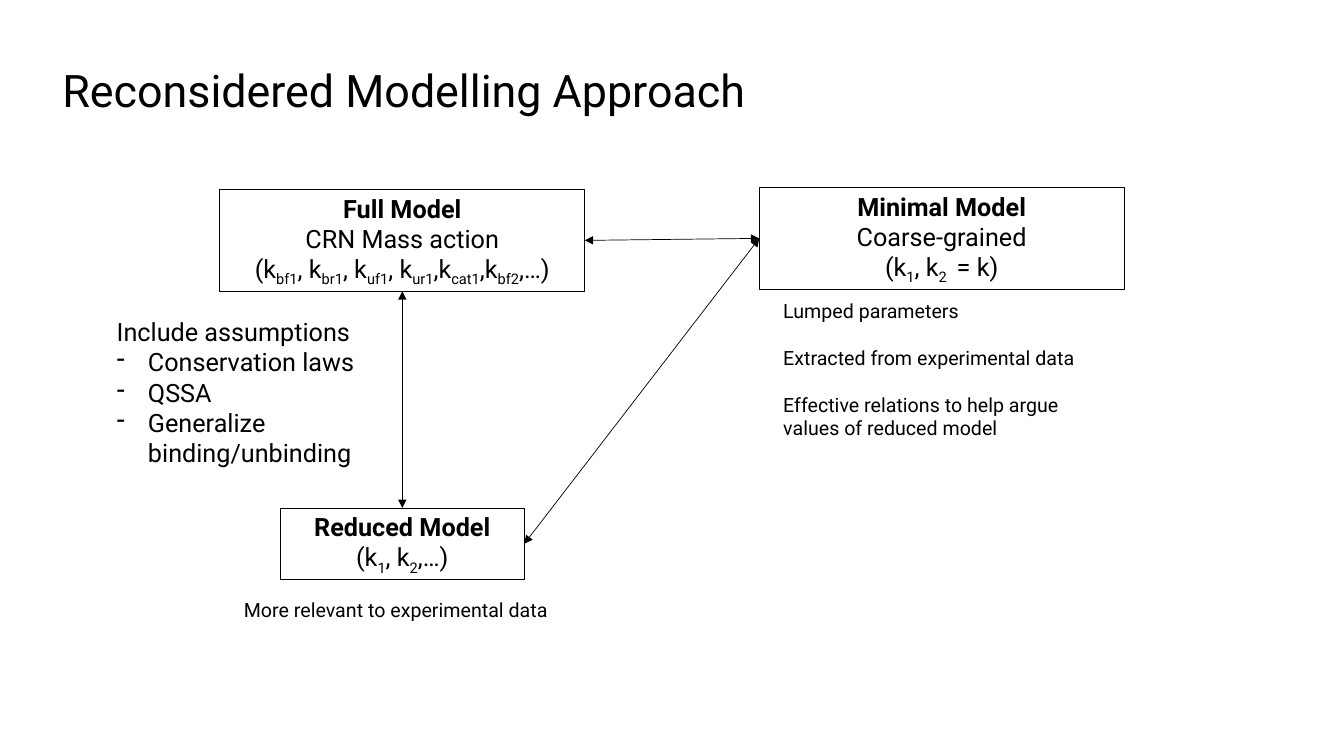
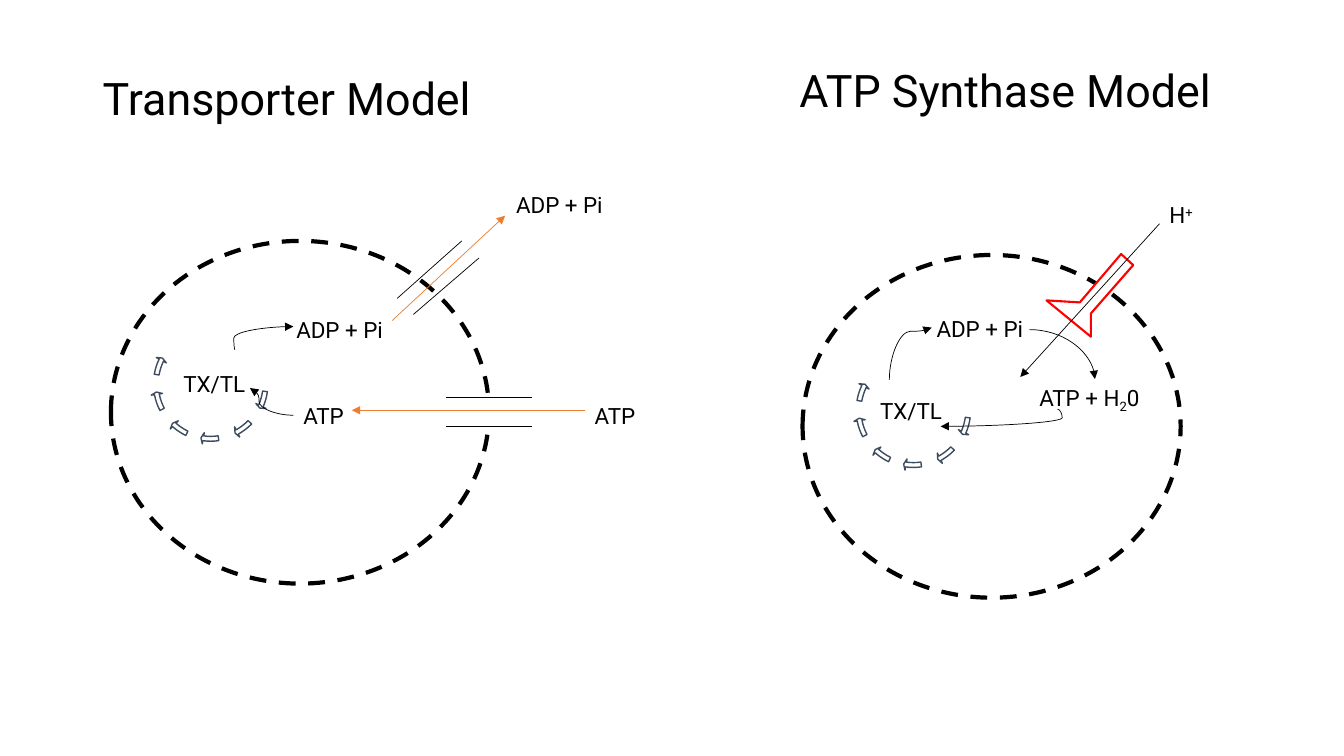
"""Build two slides on model reduction and ATP regeneration models."""
from dataclasses import dataclass

from pptx import Presentation
from pptx.dml.color import RGBColor
from pptx.enum.dml import MSO_LINE
from pptx.enum.shapes import MSO_CONNECTOR, MSO_SHAPE
from pptx.enum.text import MSO_ANCHOR, PP_ALIGN
from pptx.oxml.ns import qn
from pptx.shapes.autoshape import Shape
from pptx.shapes.connector import Connector
from pptx.slide import Slide
from pptx.text.text import TextFrame
from pptx.util import Inches, Pt
from lxml.etree import SubElement


@dataclass(frozen=True)
class Theme:
    font: str = "Roboto"
    ink: RGBColor = RGBColor(0, 0, 0)
    paper: RGBColor = RGBColor(255, 255, 255)
    accent: RGBColor = RGBColor(0xED, 0x7D, 0x31)
    ring: RGBColor = RGBColor(0x3E, 0x4C, 0x60)
    enzyme: RGBColor = RGBColor(255, 0, 0)
    title: int = 32
    body: int = 18
    label: int = 16
    note: int = 14
    thin: float = 0.5


@dataclass(frozen=True)
class Label:
    x: float
    y: float
    w: float
    h: float
    text: str
    size: int = 16
    baseline: int = -25
    gap: float = 0
    bulleted: bool = False


@dataclass(frozen=True)
class Line:
    x1: float
    y1: float
    x2: float
    y2: float
    color: RGBColor = RGBColor(0, 0, 0)
    arrow: bool = False


@dataclass(frozen=True)
class Curve(Line):
    preset: str = "curvedConnector3"
    bend: float | None = None
    turned: bool = False


THEME = Theme()
RING_ANGLES = ((205.73, 189.83), (23.66, 7.77), (61.11, 44.39),
               (97.73, 81.83), (131.66, 115.77), (169.11, 152.39))
ENZYME = ((11.12, 2.52), (10.71, 3), (10.38, 2.98), (10.82, 3.34),
          (10.82, 3.11), (11.24, 2.63))


def write(tf: TextFrame, text: str, size: int, baseline: int = -25) -> None:
    """Fill a frame; parts between bars are raised or lowered."""
    tf.word_wrap = True
    for i, row in enumerate(text.split("\n")):
        p = tf.paragraphs[0] if i == 0 else tf.add_paragraph()
        for j, part in enumerate(row.split("|")):
            r = p.add_run()
            r.text = part
            r.font.name = THEME.font
            r.font.size = Pt(size)
            r.font.color.rgb = THEME.ink
            if j % 2:
                r.font._element.set("baseline", str(baseline * 1000))


def add_label(s: Slide, label: Label) -> Shape:
    """Add a text box."""
    sp = s.shapes.add_textbox(*map(Inches, (label.x, label.y, label.w, label.h)))
    tf = sp.text_frame
    write(tf, label.text, label.size, label.baseline)
    for p in tf.paragraphs[1:]:
        if label.gap:
            p.space_before = Pt(label.gap)
        if label.bulleted:
            pPr = p._p.get_or_add_pPr()
            pPr.set("marL", str(Inches(0.31)))
            pPr.set("indent", str(-Inches(0.31)))
            SubElement(pPr, qn("a:buChar")).set("char", "-")
    return sp


def add_title(s: Slide, x: float, y: float, w: float, h: float, text: str) -> None:
    """Add a heading centred vertically in its box."""
    tf = add_label(s, Label(x, y, w, h, text, THEME.title)).text_frame
    tf.vertical_anchor = MSO_ANCHOR.MIDDLE
    tf.paragraphs[0].line_spacing = 0.9


def style(sp: Shape, fill: RGBColor | None, line: RGBColor | None, width: float = 1) -> None:
    """Set fill and outline and drop the shadow."""
    sp.shadow.inherit = False
    if fill is None:
        sp.fill.background()
    else:
        sp.fill.solid()
        sp.fill.fore_color.rgb = fill
    if line is None:
        sp.line.fill.background()
    else:
        sp.line.color.rgb = line
        sp.line.width = Pt(width)


def add_shape(s: Slide, kind: MSO_SHAPE, x: float, y: float, w: float, h: float) -> Shape:
    """Add a preset shape measured in inches."""
    return s.shapes.add_shape(kind, *map(Inches, (x, y, w, h)))


def add_model(s: Slide, x: float, y: float, w: float, h: float, text: str) -> Shape:
    """Add an outlined model box with a bold first row."""
    sp = add_shape(s, MSO_SHAPE.RECTANGLE, x, y, w, h)
    style(sp, None, THEME.ink, 0.75)
    write(sp.text_frame, text, THEME.body)
    for p in sp.text_frame.paragraphs:
        p.alignment = PP_ALIGN.CENTER
    sp.text_frame.paragraphs[0].runs[0].font.bold = True
    return sp


def style_line(c: Connector, color: RGBColor, ends: tuple[str, ...] = ()) -> None:
    """Set a connector's stroke and arrowheads."""
    c.line.color.rgb = color
    c.line.width = Pt(THEME.thin)
    for end in ends:
        SubElement(c.line._ln, qn(f"a:{end}")).set("type", "triangle")
    SubElement(c._element.spPr, qn("a:effectLst"))


def join(s: Slide, a: Shape, site_a: int, b: Shape, site_b: int) -> None:
    """Link two boxes with a double-headed arrow."""
    c = s.shapes.add_connector(MSO_CONNECTOR.STRAIGHT, 0, 0, 0, 0)
    c.begin_connect(a, site_a)
    c.end_connect(b, site_b)
    style_line(c, THEME.ink, ("headEnd", "tailEnd"))


def add_line(s: Slide, line: Line) -> None:
    """Draw a straight or curved line."""
    curved = isinstance(line, Curve)
    ends = (line.x1, line.y1, line.x2, line.y2)
    if curved and line.turned:
        cx, cy = (line.x1 + line.x2) / 2, (line.y1 + line.y2) / 2
        dx, dy = line.x1 - cx, line.y1 - cy
        ends = (cx + dy, cy - dx, cx - dy, cy + dx)
    kind = MSO_CONNECTOR.CURVE if curved else MSO_CONNECTOR.STRAIGHT
    c = s.shapes.add_connector(kind, *map(Inches, ends))
    if curved:
        spPr = c._element.spPr
        geom = spPr.find(qn("a:prstGeom"))
        geom.set("prst", line.preset)
        if line.bend is not None:
            gd = SubElement(geom.find(qn("a:avLst")), qn("a:gd"))
            gd.set("name", "adj1")
            gd.set("fmla", f"val {round(line.bend * 100000)}")
        if line.turned:
            spPr.find(qn("a:xfrm")).set("rot", str(90 * 60000))
    style_line(c, line.color, ("tailEnd",) if line.arrow else ())


def add_membrane(s: Slide, x: float, y: float) -> None:
    """Draw the dashed cell outline."""
    sp = add_shape(s, MSO_SHAPE.OVAL, x, y, 3.75, 3.4)
    style(sp, None, THEME.ink, 3)
    sp.line.dash_style = MSO_LINE.DASH


def add_ring(s: Slide, x: float, y: float) -> None:
    """Draw the cycle of six arrows."""
    for end, start in RING_ANGLES:
        sp = add_shape(s, MSO_SHAPE.CIRCULAR_ARROW, x, y, 1.2, 1.2)
        for i, value in enumerate((0.04, 2.5 * 0.6, end * 0.6, start * 0.6, 0.047)):
            sp.adjustments[i] = value
        style(sp, THEME.paper, THEME.ring)


def add_enzyme(s: Slide) -> None:
    """Draw the synthase outline across the membrane."""
    points = [(Inches(x), Inches(y)) for x, y in ENZYME]
    fb = s.shapes.build_freeform(*points[0])
    fb.add_line_segments(points[1:], close=True)
    style(fb.convert_to_shape(), THEME.paper, THEME.enzyme, 1.5)


def build_approach(s: Slide) -> None:
    """Build the modelling approach slide."""
    add_title(s, 0.52, 0.2, 11.5, 1.45, "Reconsidered Modelling Approach")
    full = add_model(s, 2.18, 1.88, 3.62, 1.01,
                     "Full Model\nCRN Mass action\n"
                     "(k|bf1|, k|br1|, k|uf1|, k|ur1|,k|cat1|,k|bf2|,…)")
    reduced = add_model(s, 2.78, 5.04, 2.42, 0.71, "Reduced Model\n(k|1|, k|2|,…)")
    minimal = add_model(s, 7.53, 1.86, 3.62, 1.01,
                        "Minimal Model\nCoarse-grained\n(k|1|, k|2 | = k)")
    join(s, full, 2, reduced, 0)
    join(s, minimal, 1, reduced, 3)
    join(s, minimal, 1, full, 3)
    for label in (
        Label(1.06, 3.09, 2.93, 1.62,
              "Include assumptions\nConservation laws\nQSSA\nGeneralize binding/unbinding",
              THEME.body, bulleted=True),
        Label(2.32, 5.88, 3.34, 0.34, "More relevant to experimental data", THEME.note),
        Label(7.67, 2.92, 3.34, 1.51,
              "Lumped parameters\nExtracted from experimental data\n"
              "Effective relations to help argue values of reduced model",
              THEME.note, gap=16.5),
    ):
        add_label(s, label)


def build_transporter(s: Slide) -> None:
    """Draw the transporter model."""
    add_title(s, 0.92, 0.4, 5.25, 1.2, "Transporter Model")
    add_membrane(s, 1.1, 2.39)
    style(add_shape(s, MSO_SHAPE.RECTANGLE, 4.42, 3.96, 0.86, 0.25), THEME.paper, None)
    add_ring(s, 1.49, 3.21)
    for label in (
        Label(1.72, 3.62, 1.11, 0.37, "TX/TL"),
        Label(2.84, 3.09, 1.31, 0.37, "ADP + Pi"),
        Label(5.02, 1.85, 1.31, 0.37, "ADP + Pi"),
        Label(2.91, 3.94, 0.66, 0.37, "ATP"),
        Label(5.8, 3.94, 0.66, 0.37, "ATP"),
    ):
        add_label(s, label)
    for line in (
        Curve(2.33, 3.47, 2.91, 3.24, arrow=True, bend=-0.02),
        Curve(2.91, 4.12, 2.48, 3.85, arrow=True, bend=0.79),
        Line(3.94, 2.96, 4.58, 2.39),
        Line(4.1, 3.12, 4.75, 2.56),
        Line(3.89, 3.18, 5.01, 2.14, THEME.accent, True),
        Line(4.42, 3.94, 5.28, 3.94),
        Line(4.42, 4.23, 5.28, 4.23),
        Line(5.8, 4.07, 3.49, 4.07, THEME.accent, True),
    ):
        add_line(s, line)


def build_synthase(s: Slide) -> None:
    """Draw the ATP synthase model."""
    add_title(s, 7.83, 0.32, 4.41, 1.2, "ATP Synthase Model")
    add_membrane(s, 7.96, 2.53)
    add_enzyme(s)
    add_ring(s, 8.46, 3.47)
    for label in (
        Label(9.19, 3.08, 1.31, 0.37, "ADP + Pi"),
        Label(10.21, 3.76, 1.3, 0.37, "ATP + H|2|0"),
        Label(11.5, 1.95, 0.6, 0.38, "H|+", baseline=30),
        Label(8.63, 3.89, 1.11, 0.37, "TX/TL"),
    ):
        add_label(s, label)
    for line in (
        Curve(10.21, 3.27, 10.86, 3.76, arrow=True, preset="curvedConnector2"),
        Line(11.5, 2.22, 10.12, 3.74, arrow=True),
        Curve(8.82, 3.77, 9.24, 3.25, arrow=True, bend=0.93, turned=True),
        Curve(10.49, 4.06, 9.33, 4.23, arrow=True, bend=-0.04),
    ):
        add_line(s, line)


def main() -> None:
    """Build and save the presentation."""
    prs = Presentation()
    prs.slide_width, prs.slide_height = Inches(13.33), Inches(7.5)
    blank = prs.slide_layouts[6]
    build_approach(prs.slides.add_slide(blank))
    s = prs.slides.add_slide(blank)
    build_transporter(s)
    build_synthase(s)
    prs.save("out.pptx")


if __name__ == "__main__":
    main()
